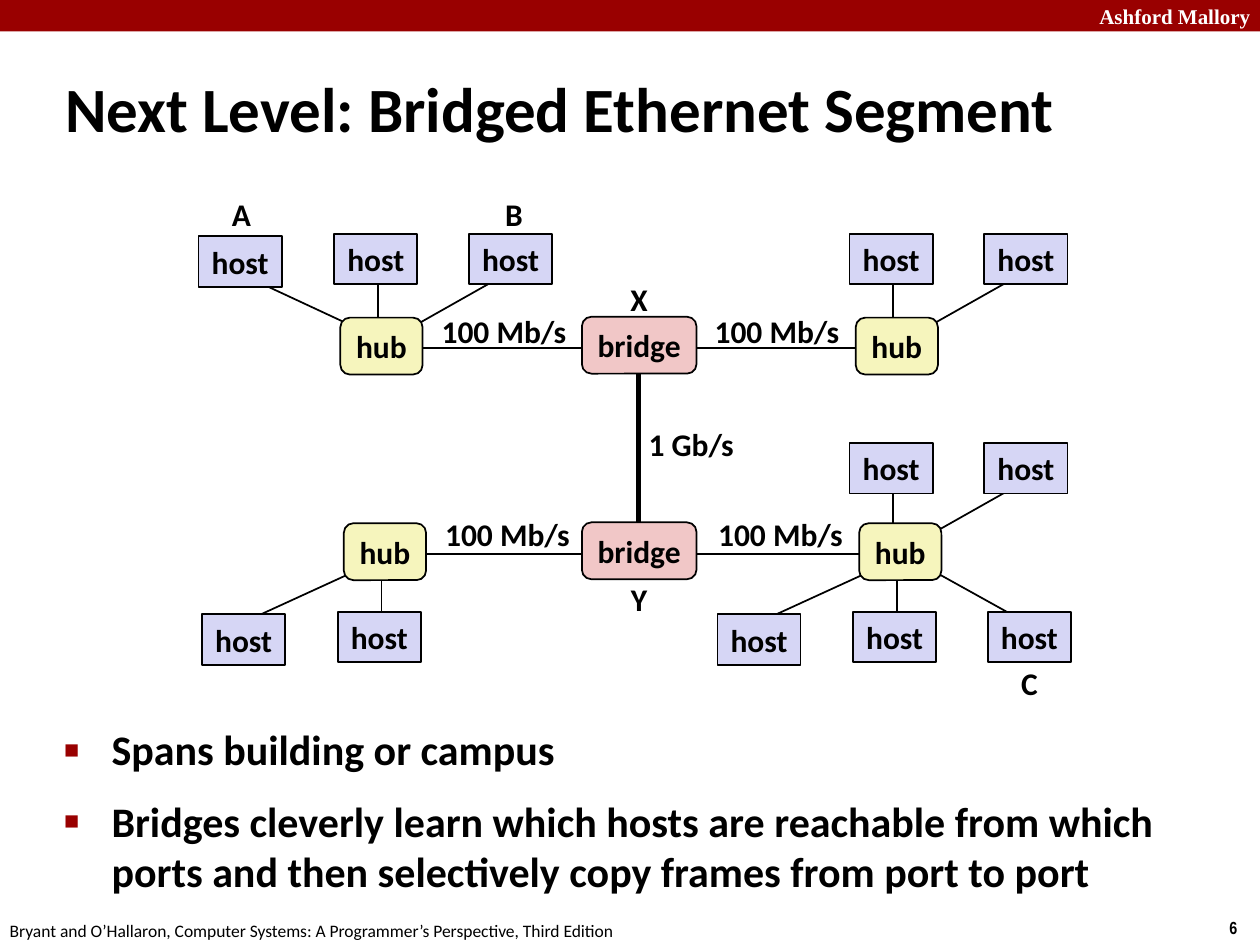
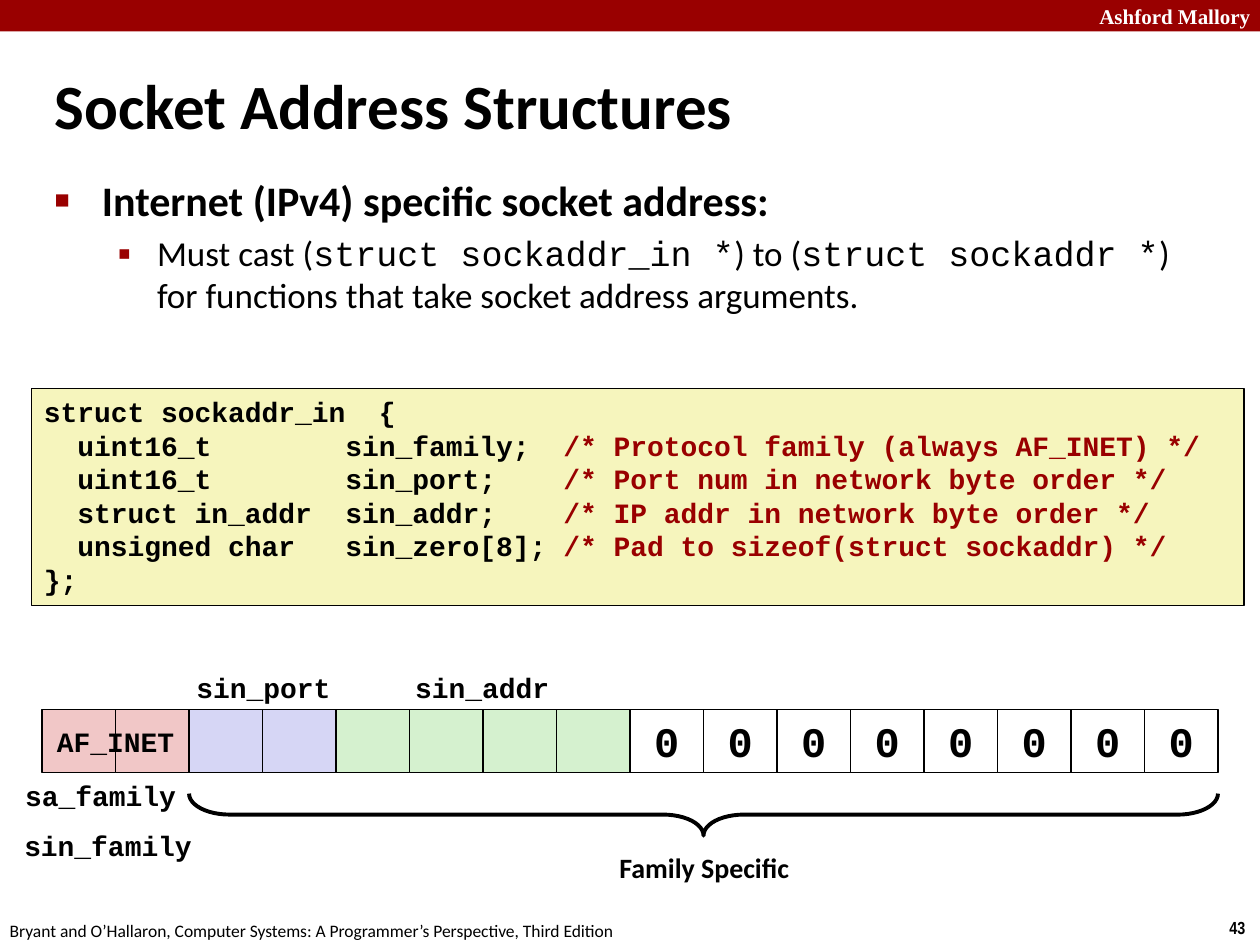
import pptx
import pptx.util
import pptx.dml.color
import pptx.enum.shapes
import pptx.enum.text
import pptx.oxml
import pptx.oxml.ns
import lxml.etree

Pt = pptx.util.Pt
SHAPE = pptx.enum.shapes.MSO_SHAPE
ALIGN = pptx.enum.text.PP_ALIGN
ANCHOR = pptx.enum.text.MSO_ANCHOR
qn = pptx.oxml.ns.qn

COLORS = {"black": "000000", "white": "FFFFFF", "red": "990000", "lilac": "D6D6F5",
          "yellow": "F6F5BD", "pink": "F1C7C7", "green": "D5F1CF"}
RGB = {name: pptx.dml.color.RGBColor.from_string(code) for name, code in COLORS.items()}
SANS, MONO = "Calibri", "Courier New"
BASE = {"name": SANS, "size": 18, "bold": True, "color": "black"}


def write_text(frame, paragraphs, align=ALIGN.LEFT, **base):
    """Write paragraphs, each a string or a list of (text, format) runs."""
    for index, runs in enumerate(paragraphs):
        paragraph = frame.paragraphs[0] if index == 0 else frame.add_paragraph()
        paragraph.alignment = align
        for text, changes in [(runs, {})] if isinstance(runs, str) else runs:
            run = paragraph.add_run()
            run.text = text
            look = {**BASE, **base, **changes}
            run.font.color.rgb = RGB[look.pop("color")]
            look["size"] = Pt(look["size"])
            for key, value in look.items():
                setattr(run.font, key, value)


def add_box(slide, box, paragraphs=(), shape=None, fill=None, line=None, wrap=False,
            anchor=ANCHOR.MIDDLE, inset=7.2, align=ALIGN.CENTER, **base):
    """Add a text box, or a preset shape when one is given."""
    place = [Pt(length) for length in box]
    if shape is None:
        item = slide.shapes.add_textbox(*place)
    else:
        item = slide.shapes.add_shape(shape, *place)
        item.shadow.inherit = False
        if fill:
            item.fill.solid()
            item.fill.fore_color.rgb = RGB[fill]
        else:
            item.fill.background()
        if line:
            item.line.color.rgb = RGB["black"]
            item.line.width = Pt(line)
        else:
            item.line.fill.background()
    settings = {"word_wrap": wrap, "vertical_anchor": anchor,
                "margin_left": Pt(inset), "margin_right": Pt(inset)}
    for key, value in settings.items():
        setattr(item.text_frame, key, value)
    write_text(item.text_frame, paragraphs, align, **base)
    return item


deck = pptx.Presentation()
deck.slide_width, deck.slide_height = Pt(720), Pt(540)

# Shared frame, title and list of each slide.
# A list item: runs, level, space before, line spacing
pages = [
    {"number": "6", "title": "Next Level: Bridged Ethernet Segment",
     "title_box": (30, 39, 647, 45), "list_box": (29.5, 414.5, 654.5, 65.5),
     "items": [("Spans building or campus", 0, 4.8, 0.85),
               ("Bridges cleverly learn which hosts are reachable from which "
                "ports and then selectively copy frames from port to port", 0, 12, 1.0)]},
    {"number": "43", "title": "Socket Address Structures",
     "title_box": (24, 29, 686, 61), "list_box": (24, 96, 654.5, 132),
     "items": [("Internet (IPv4) specific socket address:", 0, 4.8, 1.0),
               ([("Must cast (", {}), ("struct sockaddr_in *", {"name": MONO}),
                 (") to (", {}), ("struct sockaddr *", {"name": MONO}),
                 (") for functions that take socket address arguments. ", {})],
                1, 4, 1.0)]},
]
# Left indent, hanging indent, bullet, bullet size in percent, text size, bold
LEVELS = [(27, 27, "■", 60, 24, True), (58.5, 22.5, "▪", 110, 20, False)]

slides = []
for page in pages:
    slide = deck.slides.add_slide(deck.slide_layouts[1])
    slides.append(slide)
    title, points = slide.shapes.title, slide.placeholders[1]
    for holder, box in ((title, page["title_box"]), (points, page["list_box"])):
        for side, length in zip(("left", "top", "width", "height"), box):
            setattr(holder, side, Pt(length))
        holder.text_frame.auto_size = pptx.enum.text.MSO_AUTO_SIZE.NONE
    title.text_frame.vertical_anchor = ANCHOR.MIDDLE
    write_text(title.text_frame, [page["title"]], size=36)

    # Bulleted list
    points.text_frame.vertical_anchor = ANCHOR.TOP
    runs_of_items = []
    for runs, level, before, spacing in page["items"]:
        size, bold = LEVELS[level][4:]
        runs = [(runs, {})] if isinstance(runs, str) else runs
        runs_of_items.append([(text, {"size": size, "bold": bold, **changes})
                              for text, changes in runs])
    write_text(points.text_frame, runs_of_items)
    for paragraph, item in zip(points.text_frame.paragraphs, page["items"]):
        level, before, spacing = item[1:]
        indent, hanging, bullet, percent = LEVELS[level][:4]
        paragraph.level = level
        paragraph.space_before = Pt(before)
        paragraph.line_spacing = spacing
        properties = paragraph._p.get_or_add_pPr()
        properties.set("marL", str(Pt(indent)))
        properties.set("indent", str(-Pt(hanging)))
        color = lxml.etree.SubElement(properties, qn("a:buClr"))
        lxml.etree.SubElement(color, qn("a:srgbClr"), val=COLORS["red"])
        lxml.etree.SubElement(properties, qn("a:buSzPct"), val=str(percent * 1000))
        lxml.etree.SubElement(properties, qn("a:buFont"), typeface="Arial")
        lxml.etree.SubElement(properties, qn("a:buChar"), char=bullet)

    # Band, page number and footer
    add_box(slide, (0, 0, 720, 18), shape=SHAPE.RECTANGLE, fill="red")
    add_box(slide, (602, -2, 112.5, 22), ["Ashford Mallory"], align=ALIGN.RIGHT, wrap=True,
            inset=0, name="Times New Roman", size=12, color="white")
    add_box(slide, (702.5, 520.5, 17.5, 19.5), [page["number"]], align=ALIGN.LEFT, wrap=True,
            inset=0, name="Arial Narrow", size=10)
    add_box(slide, (-1.5, 522, 366, 19.5),
            ["Bryant and O’Hallaron, Computer Systems: A Programmer’s Perspective, Third Edition"],
            align=ALIGN.LEFT, wrap=True, size=10, bold=False)

network, sockets = slides

# Network: each cluster is hub corner, row of hosts, sides that have a host
clusters = [(194.5, 181.5, "above", "LMR"), (489, 181.5, "above", "MR"),
            (196.5, 299, "below", "LM"), (491, 299, "below", "LMR"),
            (489, 301, "above", "MR")]
# Offsets from the hub: host left, cable x at the hub, cable x at the host, extra drop
SIDES = {"L": (-81, 9.5, -56, 1.5), "M": (-3.5, 21.5, 21.5, 0), "R": (73.5, 40, 94, 0)}
# Offsets from the hub: host top, cable y at the hub, cable y at the host
ROWS = {"above": (-48, 6, -24.5), "below": (50.5, 26, 56)}
HUB_LEFT, HUB_RIGHT, HUB_TOPS = (194.5, 489), (196.5, 491), (181.5, 299)
BRIDGE_LEFT, BRIDGE_WIDTH, HUB_WIDTH, NODE_HEIGHT = 332.5, 65.5, 47, 32.5

# Cables: start, end, width
cables = [(365, 213, 365, 299.5, 3)]
hosts = []
for hub_x, hub_y, row, sides in clusters:
    host_y, near_y, far_y = ROWS[row]
    for side in sides:
        host_x, near_x, far_x, drop = SIDES[side]
        cables.append((hub_x + near_x, hub_y + near_y, hub_x + far_x, hub_y + far_y, 1))
        hosts.append((hub_x + host_x, hub_y + host_y + drop, 47.5, 29))
for (left_hub, right_hub), top in zip((HUB_LEFT, HUB_RIGHT), HUB_TOPS):
    middle = top + 17.5
    cables.append((left_hub + HUB_WIDTH, middle, BRIDGE_LEFT, middle, 1))
    cables.append((BRIDGE_LEFT + BRIDGE_WIDTH, middle, right_hub, middle, 1))
for *ends, width in cables:
    cable = network.shapes.add_connector(pptx.enum.shapes.MSO_CONNECTOR.STRAIGHT,
                                         *[Pt(end) for end in ends])
    cable.line.color.rgb = RGB["black"]
    cable.line.width = Pt(width)
    lxml.etree.SubElement(cable._element.spPr, qn("a:effectLst"))

# Hosts, hubs and bridges
for host in hosts:
    add_box(network, host, ["host"], SHAPE.RECTANGLE, "lilac", 1)
for hub_pair, top in zip((HUB_LEFT, HUB_RIGHT), HUB_TOPS):
    for left in hub_pair:
        add_box(network, (left, top, HUB_WIDTH, NODE_HEIGHT), ["hub"],
                SHAPE.ROUNDED_RECTANGLE, "yellow", 1)
    add_box(network, (BRIDGE_LEFT, top - 0.5, BRIDGE_WIDTH, NODE_HEIGHT), ["bridge"],
            SHAPE.ROUNDED_RECTANGLE, "pink", 1)

# Speeds and names: text, left, top, width
for text, left, top, width in [
        ("100 Mb/s", 245, 174.5, 86), ("100 Mb/s", 401, 174.5, 86),
        ("100 Mb/s", 247, 290.5, 86), ("100 Mb/s", 403, 290.5, 86),
        ("1 Gb/s", 363, 239, 64), ("A", 125.5, 108, 24.5), ("B", 281.5, 108, 24.5),
        ("C", 576, 376, 24.5), ("X", 353, 156.5, 24.5), ("Y", 353, 327.5, 24.5)]:
    add_box(network, (left, top, width, 29), [text])

# Socket address: one cell per byte
CELL = 42
byte_fills = ["pink"] * 2 + ["lilac"] * 2 + ["green"] * 4 + ["white"] * 8
for index, fill in enumerate(byte_fills):
    add_box(sockets, (24 + index * CELL, 405.5, CELL, 36), ["0"] if fill == "white" else [],
            SHAPE.RECTANGLE, fill, 1, name=MONO, size=24)

# Brace under the family-specific bytes
brace = add_box(sockets, (390, 171.5, 24, 588), shape=SHAPE.RIGHT_BRACE, line=2.25)
brace.rotation = 90
brace.adjustments[0] = 0.96

# Struct definition
fields = [("  uint16_t        sin_family;  ", "/* Protocol family (always AF_INET) */"),
          ("  uint16_t        sin_port;    ", "/* Port num in network byte order */"),
          ("  struct in_addr  sin_addr;    ", "/* IP addr in network byte order */"),
          ("  unsigned char   sin_zero[8]; ", "/* Pad to sizeof(struct sockaddr) */")]
code = [[(field, {}), (comment, {"color": "red"})] for field, comment in fields]
struct = add_box(sockets, (18, 222, 693, 124), ["struct sockaddr_in  {", *code, "};"],
                 SHAPE.RECTANGLE, "yellow", 1, wrap=True, anchor=ANCHOR.TOP,
                 align=ALIGN.LEFT, name=MONO, size=16)
for paragraph in struct.text_frame.paragraphs:
    paragraph.line_spacing = Pt(19.2)

# Field labels: text, left, top, width, font
for text, left, top, width, face in [
        ("sin_port", 104.5, 379.5, 92, MONO), ("sin_addr", 229.5, 379.5, 92, MONO),
        ("AF_INET", 24.5, 410.5, 83, MONO), ("sa_family", 7, 441.5, 101, MONO),
        ("sin_family", 6, 469.5, 111.5, MONO), ("Family Specific", 346, 482.5, 113, SANS)]:
    add_box(sockets, (left, top, width, 26.5), [text], name=face, size=16)

deck.save("out.pptx")
